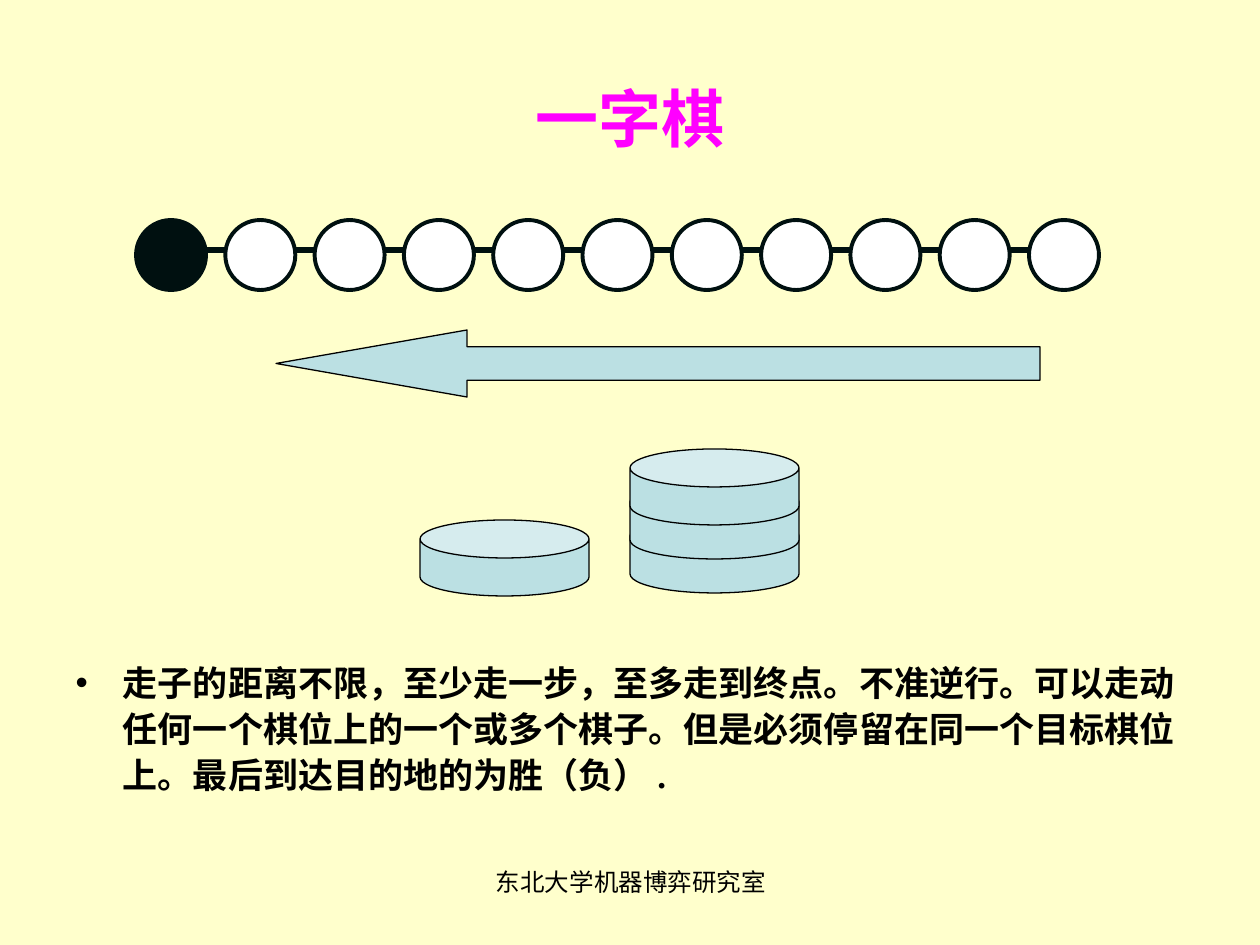
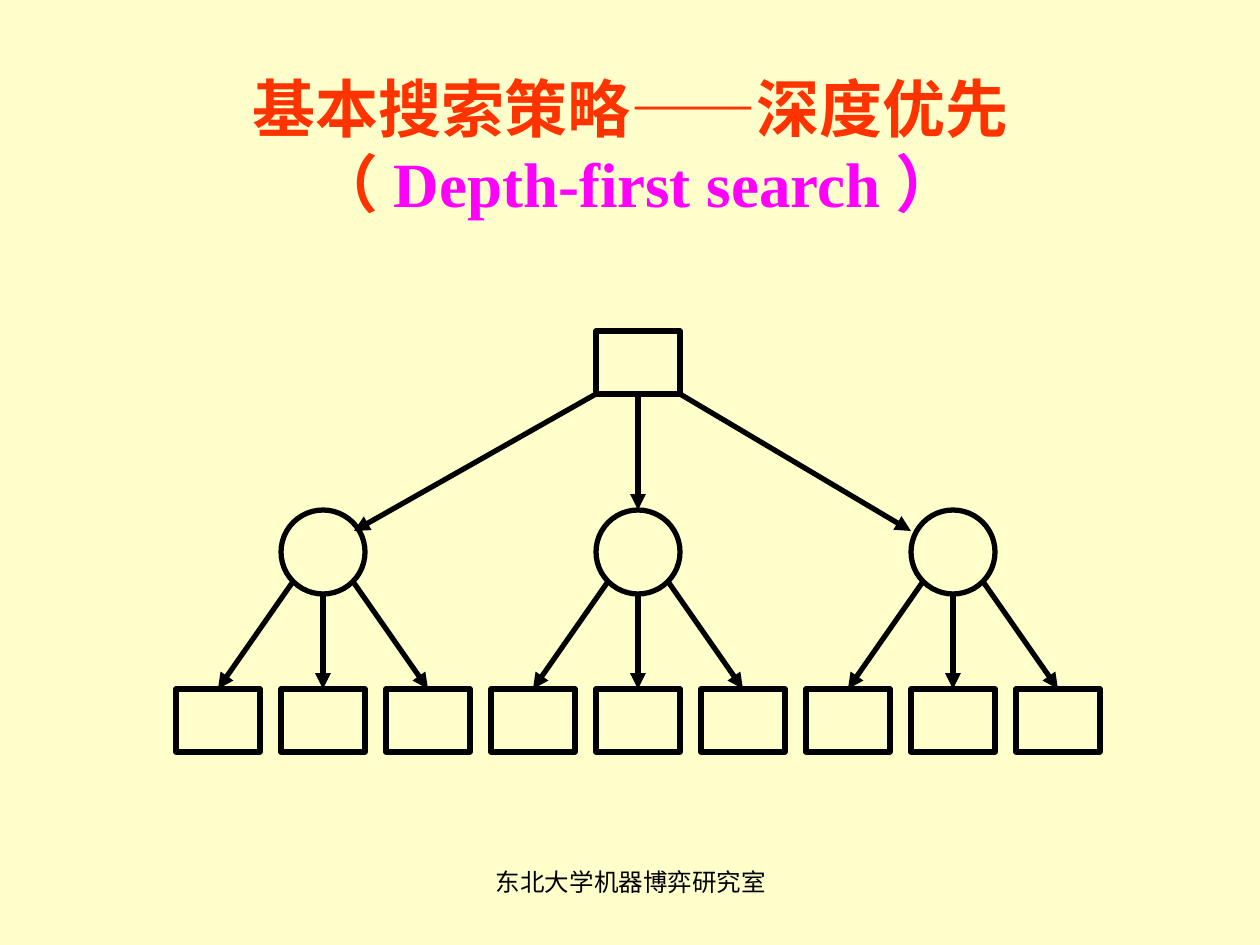
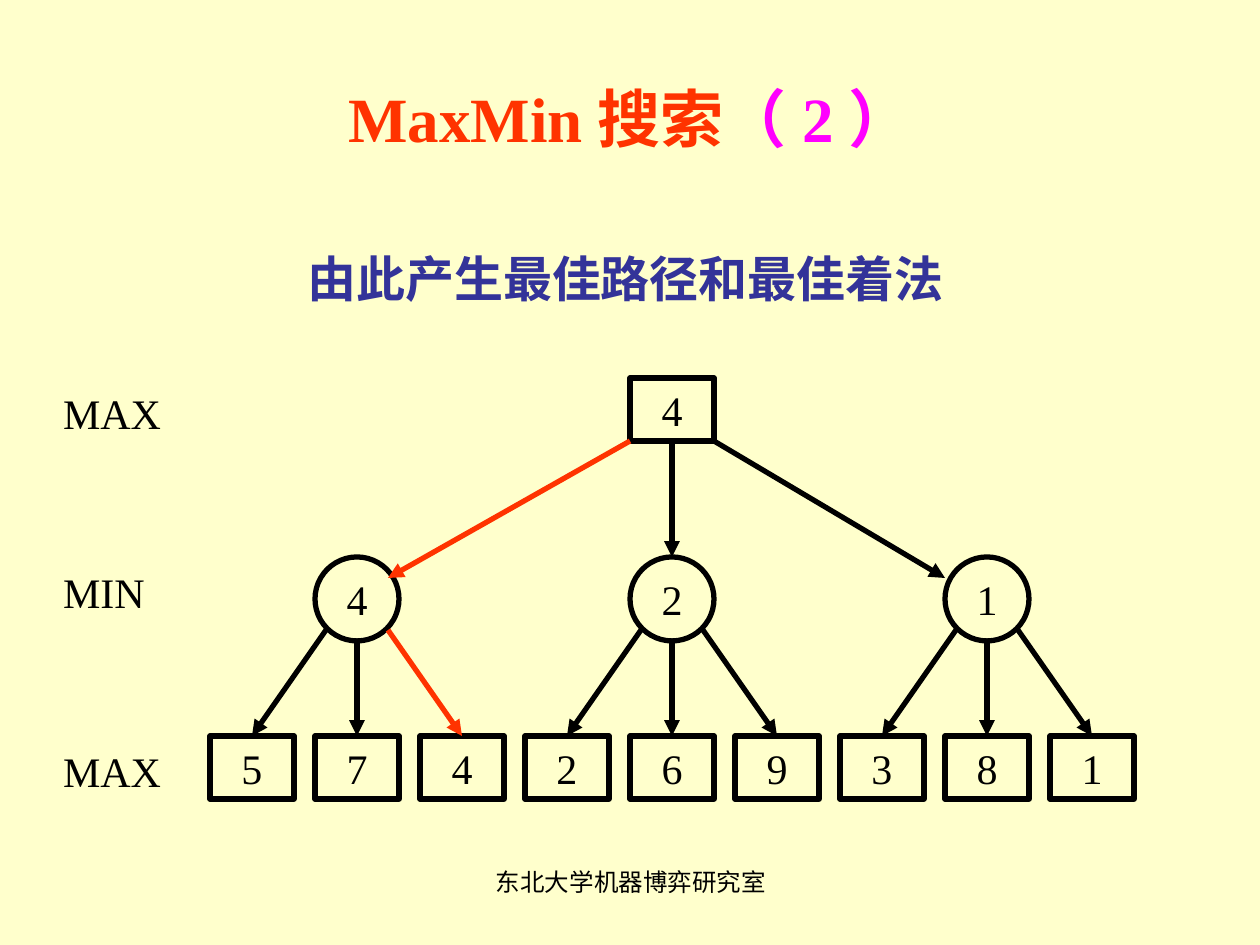
from lxml.etree import SubElement
from pptx import Presentation
from pptx.dml.color import RGBColor
from pptx.enum.lang import MSO_LANGUAGE_ID
from pptx.enum.shapes import MSO_CONNECTOR, MSO_SHAPE
from pptx.enum.text import MSO_ANCHOR, MSO_AUTO_SIZE, PP_ALIGN
from pptx.oxml.ns import qn
from pptx.util import Pt

SCALE = 914400 / 126
COLORS = {
    "background": "FFFFCC",
    "ink": "000000",
    "piece": "001010",
    "empty": "FFFFFF",
    "pale": "BBE0E3",
    "title": "FF3300",
    "accent": "FF00FF",
    "best": "FF3300",
    "subtitle": "333399",
}
SERIF = "Times New Roman"
SANS = "Arial"
FOOTER = "东北大学机器博弈研究室"
TITLE_SIZE = 36


def px(*lengths):
    return [round(length * SCALE) for length in lengths]


def color(name):
    return RGBColor.from_string(COLORS[name])


def format_run(run, size, name="ink", font=SERIF, bold=False):
    run.font.size = Pt(size)
    run.font.name = font
    run.font.bold = bold
    run.font.color.rgb = color(name)
    run.font.language_id = MSO_LANGUAGE_ID.SIMPLIFIED_CHINESE


def add_shape(slide, kind, box, fill=None, line="ink", width=3.0):
    shape = slide.shapes.add_shape(kind, *px(*box))
    shape.shadow.inherit = False
    if fill:
        shape.fill.solid()
        shape.fill.fore_color.rgb = color(fill)
    else:
        shape.fill.background()
    shape.line.color.rgb = color(line)
    shape.line.width = Pt(width)
    return shape


def add_line(slide, start, end, name="ink", arrow=False):
    line = slide.shapes.add_connector(MSO_CONNECTOR.STRAIGHT, *px(*start, *end))
    line.line.color.rgb = color(name)
    line.line.width = Pt(3)
    properties = line.element.spPr
    if arrow:
        SubElement(properties.find(qn("a:ln")), qn("a:tailEnd"), type="triangle")
    SubElement(properties, qn("a:effectLst"))


def add_text(slide, box, text, size, name="ink", font=SERIF, bold=False,
             align=PP_ALIGN.LEFT, wrap=True, inset=True):
    frame = slide.shapes.add_textbox(*px(*box)).text_frame
    frame.word_wrap = wrap
    if not inset:
        clear_margins(frame)
    frame.text = text
    paragraph = frame.paragraphs[0]
    paragraph.alignment = align
    format_run(paragraph.runs[0], size, name, font, bold)


def clear_margins(frame):
    frame.margin_left = frame.margin_right = 0
    frame.margin_top = frame.margin_bottom = 0


def place(placeholder, box):
    placeholder.left, placeholder.top, placeholder.width, placeholder.height = px(*box)
    placeholder.text_frame.auto_size = MSO_AUTO_SIZE.NONE


def start_slide(deck, layout, title_lines, title_height=158):
    slide = deck.slides.add_slide(deck.slide_layouts.get_by_name(layout))
    title = slide.shapes.title
    place(title, (63, 38, 1134, title_height))
    title.text_frame.vertical_anchor = MSO_ANCHOR.MIDDLE
    paragraph = title.text_frame.paragraphs[0]
    paragraph.alignment = PP_ALIGN.CENTER
    for index, line in enumerate(title_lines):
        if index:
            paragraph.add_line_break()
        for text, name in line:
            run = paragraph.add_run()
            run.text = text
            format_run(run, TITLE_SIZE, name, bold=True)
    add_text(slide, (431, 861, 400, 66), FOOTER, 14, font=SANS, align=PP_ALIGN.CENTER)
    return slide


def add_board(slide, box, positions=11):
    left, top, width, diameter = box
    step = (width - diameter) / (positions - 1)
    add_line(slide, (left + 30, top + 30), (left + width - 30, top + 30), "piece")
    for index in range(positions):
        add_shape(slide, MSO_SHAPE.OVAL, (left + index * step, top, diameter, diameter),
                  "empty" if index else "piece", "piece", 2.25)


def add_direction(slide, box):
    arrow = add_shape(slide, MSO_SHAPE.LEFT_ARROW, box, "pale", width=0.75)
    arrow.adjustments[0] = 0.5
    arrow.adjustments[1] = 2.85


def add_stack(slide, box, count):
    left, top, width, height = box
    for level in reversed(range(count)):
        disc = add_shape(slide, MSO_SHAPE.CAN, (left, top + level * 34, width, height),
                         "pale", width=0.75)
        disc.adjustments[0] = 0.5


def add_rules(slide, box, text):
    body = slide.placeholders[1]
    place(body, box)
    body.text_frame.text = text
    paragraph = body.text_frame.paragraphs[0]
    paragraph.line_spacing = 1.1
    paragraph.space_before = Pt(5)
    format_run(paragraph.runs[0], 20, bold=True)


def add_node(slide, kind, box, value):
    node = add_shape(slide, kind, box)
    if value is not None:
        frame = node.text_frame
        clear_margins(frame)
        frame.vertical_anchor = MSO_ANCHOR.MIDDLE
        frame.text = str(value)
        frame.paragraphs[0].alignment = PP_ALIGN.CENTER
        format_run(frame.paragraphs[0].runs[0], 24)


def add_tree(slide, left, top, root=None, branches=(None,) * 3,
             leaves=(None,) * 9, best=None):
    size, height, pitch, level = 84, 63, 105, 179
    middle = left + 4 * pitch + size / 2
    branch_top, leaf_top = top + level, top + 2 * level
    root_ends = ((31, 21), (0, 0), (-42, 21))
    branch_starts = ((-31, 73), (0, size), (31, 73))

    add_node(slide, MSO_SHAPE.RECTANGLE, (middle - size / 2, top, size, height), root)
    for branch, value in enumerate(branches):
        center = middle + (branch - 1) * 3 * pitch
        add_node(slide, MSO_SHAPE.OVAL, (center - size / 2, branch_top, size, size), value)
        shift, drop = root_ends[branch]
        add_line(slide, (middle + (branch - 1) * size / 2, top + height),
                 (center + shift, branch_top + drop),
                 "best" if best and best[0] == branch else "ink", arrow=True)
        for twig, (shift, drop) in enumerate(branch_starts):
            target = center + (twig - 1) * pitch
            add_node(slide, MSO_SHAPE.RECTANGLE,
                     (target - size / 2, leaf_top, size, height), leaves[3 * branch + twig])
            add_line(slide, (center + shift, branch_top + drop), (target, leaf_top),
                     "best" if best == (branch, twig) else "ink", arrow=True)


def add_level_labels(slide, box, labels):
    left, top, width, pitch = box
    for index, label in enumerate(labels):
        add_text(slide, (left, top + index * pitch, width, 50), label, 24, inset=False)


def build_game(deck):
    slide = start_slide(deck, "Title and Content", [[("一字棋", "accent")]])
    add_board(slide, (136, 220, 963, 70))
    add_direction(slide, (276, 330, 764, 67))
    add_stack(slide, (420, 520, 169, 76), 1)
    add_stack(slide, (630, 449, 169, 76), 3)
    add_rules(slide, (63, 651, 1134, 193),
              "走子的距离不限，至少走一步，至多走到终点。不准逆行。可以走动任何一个棋位上的"
              "一个或多个棋子。但是必须停留在同一个目标棋位上。最后到达目的地的为胜（负）.")


def build_depth_first(deck):
    slide = start_slide(deck, "Title Only", [
        [("基本搜索策略——深度优先", "title")],
        [(" （", "title"), ("Depth-first search）", "accent")],
    ], 214)
    add_tree(slide, 176, 331)


def build_max_min(deck):
    slide = start_slide(deck, "Title Only", [[("MaxMin搜索", "title"), ("（2）", "accent")]])
    add_text(slide, (295, 242, 661, 72), "由此产生最佳路径和最佳着法", 28,
             "subtitle", bold=True, wrap=False)
    add_level_labels(slide, (63, 388, 105, 179), ("MAX", "MIN", "MAX"))
    add_tree(slide, 210, 378, 4, (4, 2, 1), (5, 7, 4, 2, 6, 9, 3, 8, 1), best=(0, 2))


deck = Presentation()
deck.slide_width, deck.slide_height = px(1260, 945)
master = deck.slide_master
master.background.fill.solid()
master.background.fill.fore_color.rgb = color("background")
title_style = master.element.find(".//" + qn("p:titleStyle"))
title_style.find(".//" + qn("a:defRPr")).set("sz", str(TITLE_SIZE * 100))
build_game(deck)
build_depth_first(deck)
build_max_min(deck)
deck.save("out.pptx")
